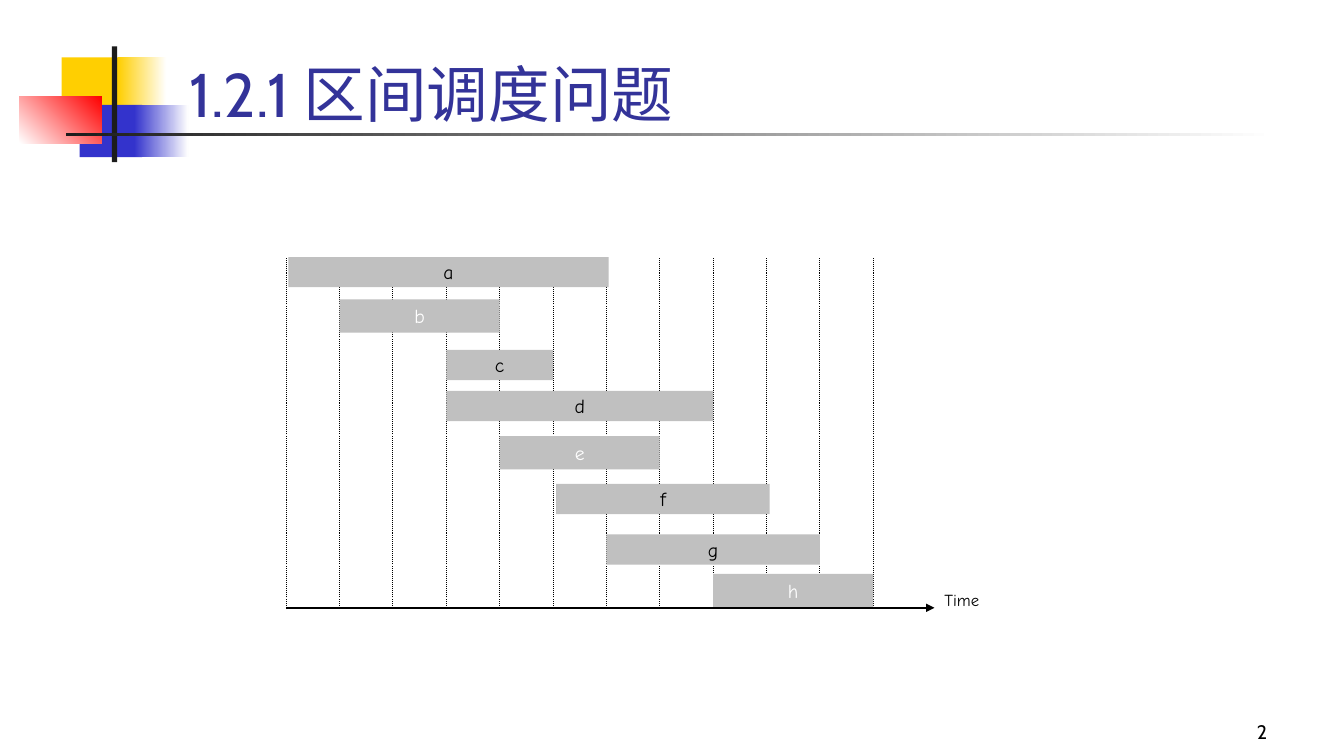
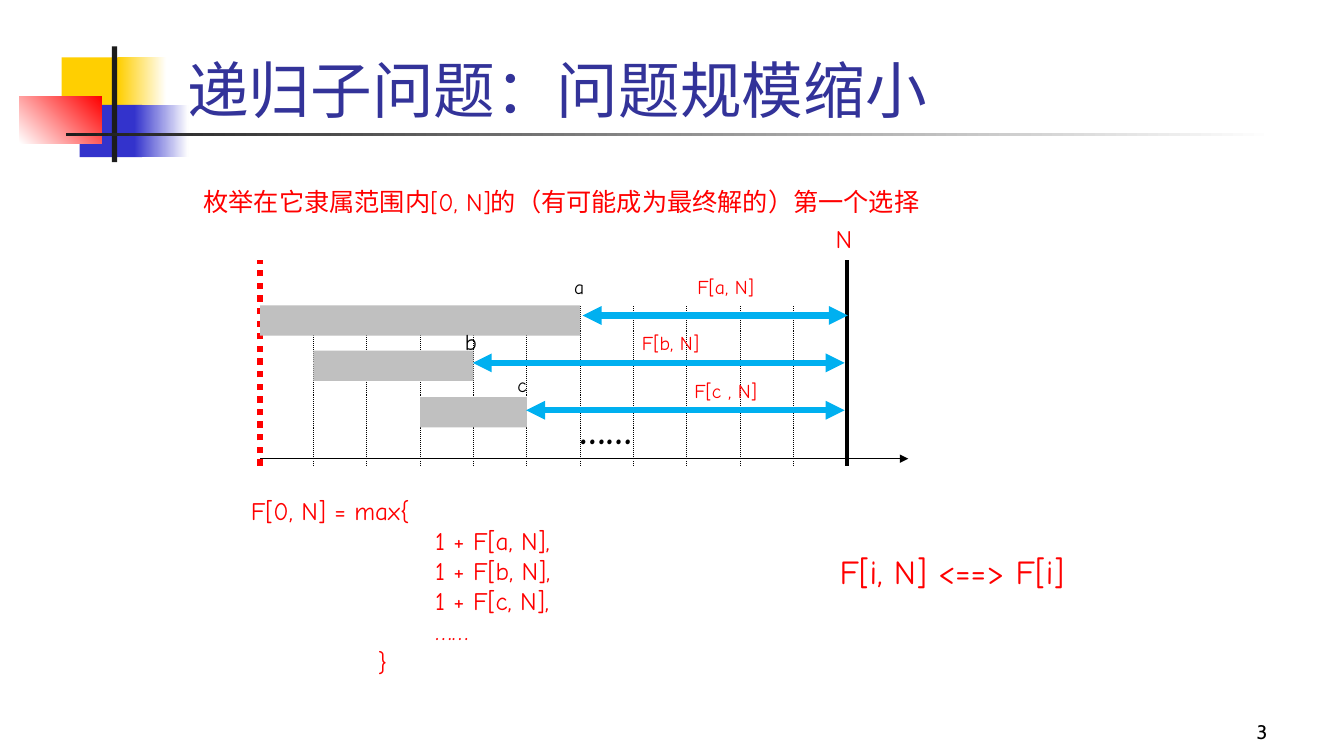
"""Build two slides on interval scheduling, with lengths in percent of the slide."""
import dataclasses

import pptx
import pptx.dml.color
import pptx.enum.dml
import pptx.enum.shapes
import pptx.enum.text
import pptx.oxml
import pptx.util


@dataclasses.dataclass(frozen=True)
class Theme:
    head: str = "Cabin"
    hand: str = "Comic Neue"
    navy: str = "333399"
    blue: str = "3333CC"
    sky: str = "00B0F0"
    gold: str = "FFCF01"
    red: str = "FF0000"
    grey: str = "C0C0C0"
    dark: str = "1C1C1C"
    black: str = "000000"
    white: str = "FFFFFF"
    title: int = 44
    dots: int = 28
    large: int = 24
    body: int = 18
    mid: int = 16
    small: int = 14
    tiny: int = 12


theme = Theme()
rgb = pptx.dml.color.RGBColor.from_string
align = pptx.enum.text.PP_ALIGN
anchor = pptx.enum.text.MSO_ANCHOR
deck = pptx.Presentation()
deck.slide_width = pptx.util.Inches(13.33)
deck.slide_height = pptx.util.Inches(7.5)
col = deck.slide_width / 100
row = deck.slide_height / 100


def box(slide, area, text="", size=theme.small, ink=theme.black, fill=None, angle=0,
        font=theme.hand, side=align.LEFT, hold=anchor.TOP):
    """Add a text box, or a rectangle when a fill or a pair of gradient colours is given."""
    left, top, width, height = area
    place = [round(n) for n in (left * col, top * row, width * col, height * row)]
    if fill:
        shape = slide.shapes.add_shape(pptx.enum.shapes.MSO_SHAPE.RECTANGLE, *place)
        shape.shadow.inherit = False
        shape.line.fill.background()
        if isinstance(fill, tuple):
            shape.fill.gradient()
            shape.fill.gradient_angle = angle
            for stop, tone in zip(shape.fill.gradient_stops, fill):
                stop.color.rgb = rgb(tone)
        else:
            shape.fill.solid()
            shape.fill.fore_color.rgb = rgb(fill)
    else:
        shape = slide.shapes.add_textbox(*place)
    frame = shape.text_frame
    frame.word_wrap = True
    frame.vertical_anchor = hold
    frame.text = text
    for para in frame.paragraphs:
        para.alignment = side
        for run in para.runs:
            run.font.name = font
            run.font.size = pptx.util.Pt(size)
            run.font.color.rgb = rgb(ink)
    return shape


def line(slide, start, end, width, ink=theme.black, dash=False, heads=()):
    """Add a straight line with optional dots and arrowheads."""
    points = [round(n) for x, y in (start, end) for n in (x * col, y * row)]
    rule = slide.shapes.add_connector(pptx.enum.shapes.MSO_CONNECTOR.STRAIGHT, *points)
    rule.line.width = pptx.util.Pt(width)
    rule.line.color.rgb = rgb(ink)
    if dash:
        rule.line.dash_style = pptx.enum.dml.MSO_LINE.ROUND_DOT
    space = 'xmlns:a="http://schemas.openxmlformats.org/drawingml/2006/main"'
    for head in heads:
        rule.line._get_or_add_ln().append(
            pptx.oxml.parse_xml(f'<a:{head} {space} type="triangle"/>'))
    rule._element.spPr.append(pptx.oxml.parse_xml(f"<a:effectLst {space}/>"))


motif = [
    ((4.58, 7.6, 4.8, 6.93), theme.gold, 0),
    ((8.78, 7.6, 3.6, 6.93), (theme.gold, theme.white), 0),
    ((5.93, 13.87, 4.65, 6.93), theme.blue, 0),
    ((9.98, 13.87, 4.05, 6.93), (theme.blue, theme.white), 0),
    ((1.43, 12.8, 6.15, 6.13), (theme.white, theme.red), 45),
    ((8.33, 6.13, 0.38, 15.33), theme.dark, 0),
    ((4.88, 17.6, 90, 0.4), (theme.dark, theme.white), 0),
]
titles = [
    ("1.2.1 区间调度问题", (13.35, 4.8, 63.9, 13.07)),
    ("递归子问题：问题规模缩小", (13.2, 0.67, 85.2, 16.67)),
]
slides = []
for page, (title, area) in enumerate(titles, 2):
    slide = deck.slides.add_slide(deck.slide_layouts[6])
    for spot, fill, angle in motif:
        box(slide, spot, fill=fill, angle=angle)
    box(slide, area, title, theme.title, theme.navy, font=theme.head, hold=anchor.BOTTOM)
    box(slide, (74.18, 92.27, 20.85, 6.67), str(page), font=theme.head,
        side=align.RIGHT, hold=anchor.BOTTOM)
    slides.append(slide)
plan, split = slides

step = 3.97
span = 48.23
thin, tall = 4, 4.4
charts = [
    (plan, 21.3, 34, 80.4, 80.4, 0, [
        ("a", 0.04, 6, 34, thin, theme.black),
        ("b", 1, 3, 39.6, tall, theme.white),
        ("c", 3, 2, 46.3, thin, theme.black),
        ("d", 3, 5, 51.7, thin, theme.black),
        ("e", 4, 3, 57.7, tall, theme.white),
        ("f", 5.06, 4, 64, thin, theme.black),
        ("g", 6, 4, 70.7, thin, theme.black),
        ("h", 8, 3, 75.9, tall, theme.white),
    ]),
    (split, 19.35, 40.4, 61.6, 60.67, 1, [
        ("", 0, 6, 40.4, thin, theme.black),
        ("", 1, 3, 46.4, thin, theme.black),
        ("", 3, 2, 52.53, thin, theme.black),
    ]),
]
for slide, left, top, base, axis, first, bars in charts:
    line(slide, (left, axis), (left + span, axis), 1, heads=["tailEnd"])
    for tick in range(first, 12):
        x = left + tick * step
        line(slide, (x, base), (x, top), 0.75, dash=True)
    if slide is split:
        line(slide, (left, base), (left, 34.4), 4.5, theme.red, dash=True)
    for name, start, count, y, height, ink in bars:
        box(slide, (left + start * step, y, count * step, height), name, ink=ink,
            fill=theme.grey, side=align.CENTER, hold=anchor.MIDDLE)

box(plan, (69.53, 77.33, 6.23, 4), "Time", theme.tiny)

line(split, (63, 61.6), (63, 34.4), 3)
for start, end, y in [(43.35, 63.08, 41.73), (35.18, 62.85, 48), (39.15, 62.85, 54.27)]:
    line(split, (start, y), (end, y), 4.5, theme.sky, heads=["headEnd", "tailEnd"])

notes = [
    ("枚举在它隶属范围内[0, N]的（有可能成为最终解的）第一个选择",
     (14.4, 24, 60, 5.33), theme.body),
    ("N", (61.43, 28.93, 3.08, 5.33), theme.body),
    ("F[a, N]", (51.15, 35.73, 7.43, 4.53), theme.small),
    ("F[b, N]", (47.03, 43.07, 7.65, 4.53), theme.small),
    ("F[c , N]", (50.93, 49.47, 8.25, 4.53), theme.small),
    ("F[i, N] <==> F[i]", (61.73, 72.27, 21.98, 6.67), theme.large),
]
for text, area, size in notes:
    box(split, area, text, size, theme.red)

marks = [
    ("a", (40.8, 35.73, 4.58, 4.53), theme.small),
    ("b", (31.58, 42.8, 6.9, 4.93), theme.mid),
    ("c", (36.38, 48.67, 4.95, 4.53), theme.small),
]
for text, area, size in marks:
    box(split, area, text, size, side=align.CENTER)

dots = box(split, (42.38, 52.93, 5.63, 7.6), "……", theme.dots)
dots.text_frame.paragraphs[0].runs[0].font.bold = True

terms = [
    ("F[0, N] = max{", 0),
    ("1 + F[a, N],", 13.7),
    ("1 + F[b, N],", 13.7),
    ("1 + F[c, N],", 13.7),
    ("……", 13.7),
    ("}", 9.45),
]
rule = box(split, (17.93, 64.8, 26.25, 25.6), "\n".join(text for text, _ in terms),
           theme.body, theme.red)
for para, (_, inset) in zip(rule.text_frame.paragraphs, terms):
    para._p.get_or_add_pPr().set("marL", str(round(inset * col)))

deck.save("out.pptx")
